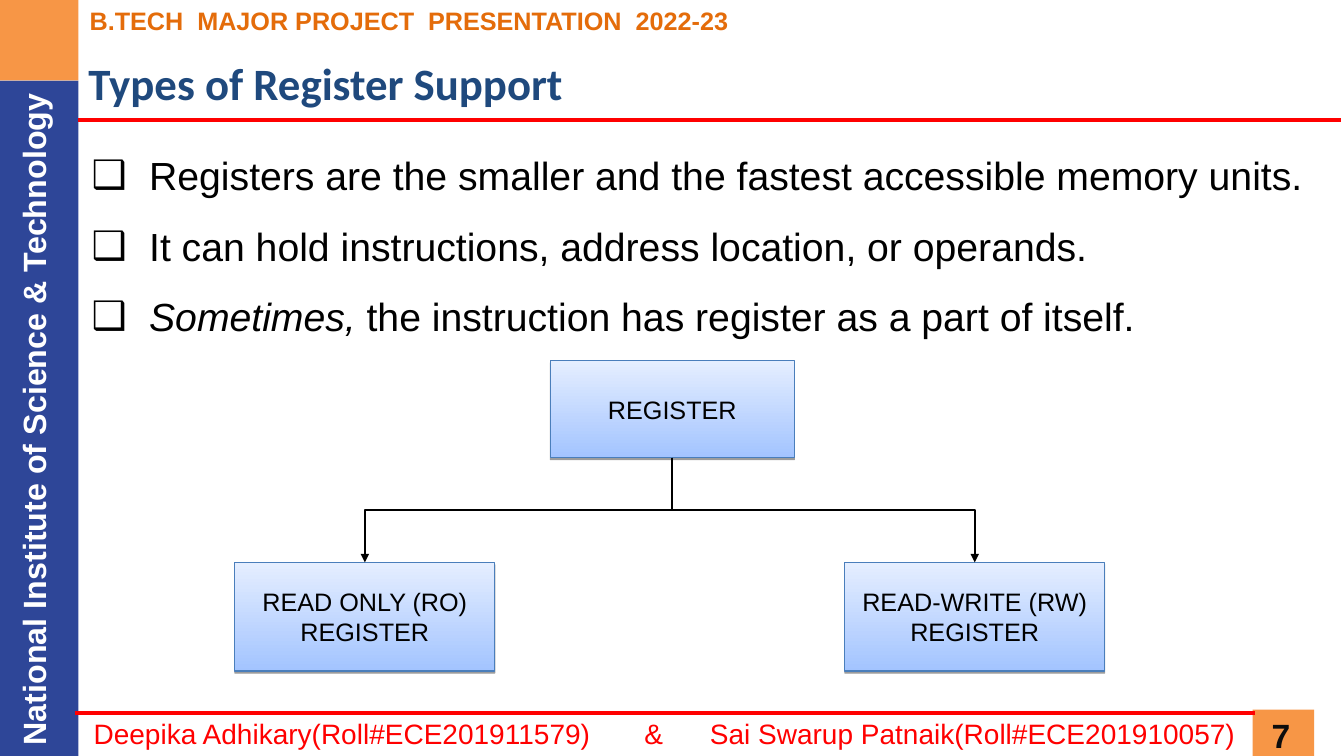
from dataclasses import dataclass

import lxml.etree
import pptx
import pptx.dml.color
import pptx.enum.dml
import pptx.enum.shapes
import pptx.enum.text
import pptx.oxml.ns
import pptx.util

Cm = pptx.util.Cm
Pt = pptx.util.Pt
qn = pptx.oxml.ns.qn
CENTER = pptx.enum.text.PP_ALIGN.CENTER
LEFT = pptx.enum.text.PP_ALIGN.LEFT


@dataclass
class Area:
    left: float
    top: float
    width: float
    height: float

    def lengths(self) -> list:
        return [Cm(v) for v in (self.left, self.top, self.width, self.height)]


@dataclass
class Label:
    text: str
    area: Area
    size: float
    color: str
    bold: bool = False
    font: str = "Arial"
    align: int = LEFT
    rotation: float = 0
    wrap: bool = True
    tabs: tuple = ()


@dataclass
class Rule:
    left: float
    right: float
    y: float
    weight: float


def rgb(hex_color: str) -> pptx.dml.color.RGBColor:
    return pptx.dml.color.RGBColor.from_string(hex_color)


def add_xml(parent, tag: str, **attributes):
    return lxml.etree.SubElement(parent, qn(tag), attributes)


def format_font(font, color: str, **values) -> None:
    for name, value in values.items():
        setattr(font, name, value)
    font.color.rgb = rgb(color)


def add_panel(slide, area: Area, color: str) -> None:
    panel = slide.shapes.add_shape(
        pptx.enum.shapes.MSO_SHAPE.RECTANGLE, *area.lengths())
    panel.shadow.inherit = False
    panel.fill.solid()
    panel.fill.fore_color.rgb = rgb(color)
    panel.line.fill.background()


def add_label(slide, label: Label) -> None:
    box = slide.shapes.add_textbox(*label.area.lengths())
    box.rotation = label.rotation
    box.text_frame.word_wrap = label.wrap
    paragraph = box.text_frame.paragraphs[0]
    paragraph.text = label.text
    paragraph.alignment = label.align
    if label.tabs:
        tab_list = add_xml(paragraph._p.get_or_add_pPr(), "a:tabLst")
        for stop in label.tabs:
            add_xml(tab_list, "a:tab", pos=str(Cm(stop)), algn="l")
    for run in paragraph.runs:
        format_font(run.font, label.color, size=Pt(label.size),
                    name=label.font, bold=label.bold)


def style_line(connector, color: str, weight: float) -> None:
    connector.line.color.rgb = rgb(color)
    connector.line.width = Pt(weight)
    add_xml(connector.element.spPr, "a:effectLst")


def add_rule(slide, rule: Rule) -> None:
    line = slide.shapes.add_connector(
        pptx.enum.shapes.MSO_CONNECTOR.STRAIGHT,
        Cm(rule.left), Cm(rule.y), Cm(rule.right), Cm(rule.y))
    style_line(line, "FF0000", rule.weight)


def add_bullets(slide, area: Area, points: list) -> None:
    frame = slide.shapes.add_textbox(*area.lengths()).text_frame
    frame.word_wrap = True
    for index, runs in enumerate(points):
        paragraph = frame.add_paragraph() if index else frame.paragraphs[0]
        paragraph.line_spacing = 1.5
        properties = paragraph._p.get_or_add_pPr()
        properties.set("marL", str(Cm(1.45)))
        properties.set("indent", str(-Cm(1.45)))
        bullet_color = add_xml(properties, "a:buClr")
        add_xml(bullet_color, "a:srgbClr", val="000000")
        add_xml(properties, "a:buFont", typeface="Arial")
        add_xml(properties, "a:buChar", char="❑")
        for text, italic in runs:
            run = paragraph.add_run()
            run.text = text
            format_font(run.font, "000000", size=Pt(28), name="Arial", italic=italic)


def add_node(slide, text: str, area: Area):
    node = slide.shapes.add_shape(
        pptx.enum.shapes.MSO_SHAPE.RECTANGLE, *area.lengths())
    node.fill.gradient()
    node.fill.gradient_angle = 90
    for stop, color in zip(node.fill.gradient_stops, ("A3C4FF", "E5EEFF")):
        stop.color.rgb = rgb(color)
    node.line.color.rgb = rgb("4A7EBB")
    node.line.width = Pt(0.75)

    # Thin shadow below the box
    node.shadow.inherit = False
    effects = node.element.spPr.find(qn("a:effectLst"))
    shadow = add_xml(effects, "a:outerShdw", blurRad="0", dist=str(Pt(1.6)),
                     dir="5400000", rotWithShape="0")
    shade = add_xml(shadow, "a:srgbClr", val="000000")
    add_xml(shade, "a:alpha", val="38000")

    frame = node.text_frame
    frame.word_wrap = True
    frame.vertical_anchor = pptx.enum.text.MSO_ANCHOR.MIDDLE
    paragraph = frame.paragraphs[0]
    paragraph.text = text
    paragraph.alignment = CENTER
    format_font(paragraph.runs[0].font, "000000", size=Pt(18), name="Arial")
    return node


def add_branch(slide, parent, child) -> None:
    start_x, start_y = parent.left + parent.width // 2, parent.top + parent.height
    end_x, end_y = child.left + child.width // 2, child.top
    branch = slide.shapes.add_connector(
        pptx.enum.shapes.MSO_CONNECTOR.ELBOW, start_x, start_y, end_x, end_y)
    branch.begin_connect(parent, 2)
    branch.end_connect(child, 0)

    # Turn the elbow so that it leaves downwards
    drop, reach = end_y - start_y, abs(end_x - start_x)
    branch.left = (start_x + end_x - drop) // 2
    branch.top = (start_y + end_y - reach) // 2
    branch.width, branch.height = drop, reach
    frame = branch.element.spPr.find(qn("a:xfrm"))
    frame.attrib.pop("flipH", None)
    if end_x > start_x:
        frame.set("rot", "16200000")
        frame.set("flipH", "1")
    else:
        frame.set("rot", "5400000")
    style_line(branch, "000000", 1.5)
    add_xml(branch.line._get_or_add_ln(), "a:tailEnd", type="triangle")


PANELS = [
    (Area(31.57, 17.88, 1.55, 1.17), "F79646"),
    (Area(0, 2.03, 1.98, 17.02), "2E4698"),
    (Area(0, 0, 1.98, 2.03), "F79646"),
]
RULES = [Rule(1.88, 31.62, 17.96, 3), Rule(1.96, 33.8, 3.02, 2.75)]
LABELS = [
    Label("National Institute of Science & Technology", Area(-8.28, 9.96, 18.24, 1.22),
          23, "FFFFFF", bold=True, align=CENTER, rotation=270),
    Label("B.TECH  MAJOR PROJECT  PRESENTATION  2022-23", Area(2.01, 0, 16.69, 1.02),
          18, "E46C0A", bold=True, wrap=False),
    Label("7", Area(31.01, 17.88, 2.54, 1.17), 24, "0D0D0D", bold=True, align=CENTER),
    Label("Deepika Adhikary(Roll#ECE201911579)\t&\tSai Swarup Patnaik(Roll#ECE201910057)",
          Area(2.11, 17.93, 29.41, 1.12), 20, "FF0000", tabs=(13.88, 15.53)),
    Label("Types of Register Support", Area(1.98, 1.27, 27.94, 1.7),
          32, "1F497D", bold=True, font="Calibri"),
]
POINTS = [
    [("Registers are the smaller and the fastest accessible memory units.", False)],
    [("It can hold instructions, address location, or operands.", False)],
    [("Sometimes,", True), (" the instruction has register as a part of itself.", False)],
]
REGISTER_KINDS = [("READ ONLY (RO) REGISTER", 5.92), ("READ-WRITE (RW) REGISTER", 21.29)]


def main() -> None:
    deck = pptx.Presentation()
    deck.slide_width, deck.slide_height = Cm(33.87), Cm(19.05)
    slide = deck.slides.add_slide(deck.slide_layouts[6])

    # Frame, title and footer
    for area, color in PANELS:
        add_panel(slide, area, color)
    for rule in RULES:
        add_rule(slide, rule)
    for label in LABELS:
        add_label(slide, label)

    # Bullet points
    add_bullets(slide, Area(2.06, 3.1, 31.14, 14.76), POINTS)

    # Register tree
    register = add_node(slide, "REGISTER", Area(13.87, 9.09, 6.15, 2.44))
    for kind, left in REGISTER_KINDS:
        add_branch(slide, register, add_node(slide, kind, Area(left, 14.17, 6.55, 2.74)))

    deck.save("out.pptx")


if __name__ == "__main__":
    main()
